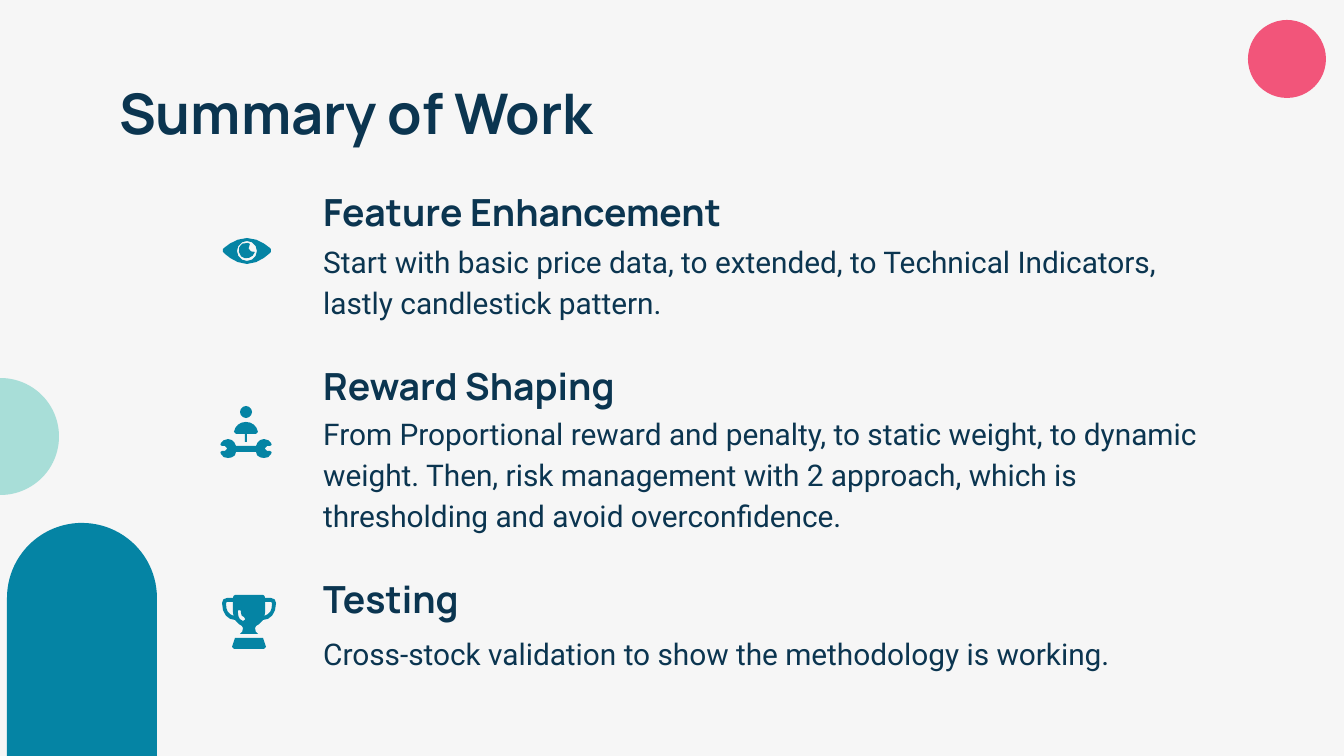
from dataclasses import dataclass
from math import cos, dist, pi, sin

from lxml import etree
from pptx import Presentation
from pptx import util as u
from pptx.dml.color import RGBColor
from pptx.enum import shapes, text
from pptx.oxml.ns import qn


@dataclass(frozen=True)
class Theme:
    paper: str = "F6F6F6"
    ink: str = "0B3550"
    teal: str = "0584A4"
    mint: str = "74CEC4"
    pink: str = "F2557A"
    heading_font: str = "Manrope"
    body_font: str = "Roboto"
    title_size: int = 30
    heading_size: int = 20
    body_size: int = 16
    body_spacing: float = 1.15


THEME = Theme()
EMU_PER_PX = 914400 / 134.4
PX_PER_STEP, MOST_STEPS = 6, 4

TITLE = ("Summary of Work", (106, 65, 1133, 85))
TEXT_LEFT, HEADING_WIDTH, HEADING_HEIGHT, BODY_HEIGHT = 310, 532, 77, 85
SECTIONS = [
    ("Feature Enhancement", 170, 225, 902,
     "Start with basic price data, to extended, to Technical Indicators, "
     "lastly candlestick pattern."),
    ("Reward Shaping", 344, 397, 929,
     "From Proportional reward and penalty, to static weight, to dynamic weight. "
     "Then, risk management with 2 approach, which is thresholding and avoid "
     "overconfidence."),
    ("Testing", 557, 617, 855,
     "Cross-stock validation to show the methodology is working."),
]
DECORATIONS = [
    (shapes.MSO_SHAPE.OVAL, (1248, 20, 78, 78), THEME.pink, 100),
    (shapes.MSO_SHAPE.OVAL, (-58, 378, 117, 117), THEME.mint, 60),
    (shapes.MSO_SHAPE.ROUNDED_RECTANGLE, (7, 523, 150, 641), THEME.teal, 100),
]

EYE_AXIS, WORKER_AXIS, TROPHY_AXIS = 247, 246, 249
EYE_HALF = [(247, 238), (234, 238, 223, 249, 223, 249), (223, 252),
            (223, 252, 234, 264, 247, 264)]
PUPIL = [(248, 243), (241, 242, 238, 247, 239, 252), (240, 258, 245, 259, 249, 258),
         (252, 257, 254, 255, 255, 252), (251, 253, 246, 249, 250, 244)]
WRENCH_HALF = [(236, 446), (235, 442, 232, 439, 228, 439), (225, 439, 222, 441, 221, 443),
               (220, 444, 220, 446, 222, 446), (225, 446), (228, 446, 228, 451, 225, 451),
               (222, 451), (220, 451, 220, 453, 221, 454), (222, 457, 225, 458, 228, 458),
               (232, 458, 236, 456, 236, 452)]
SHOULDER_HALF = [(246, 422), (240, 422, 235, 426, 234, 432),
                 (234, 433, 234, 434, 236, 434), (245, 434), (245, 442)]
CUP_HALF = [(249, 595), (235, 595), (234, 595, 233, 596, 233, 598), (227, 598),
            (224, 598, 222, 600, 222, 603), (222, 614, 228, 620, 235, 620),
            (239, 626, 243, 625, 243, 628), (243, 631, 242, 633, 240, 634), (249, 634)]
HANDLE = [(233, 602), (233, 612), (233, 613, 233, 615, 234, 616),
          (228, 614, 226, 611, 226, 603), (227, 602)]
GLINT = [(239, 610), (241, 610, 241, 611, 241, 613), (241, 615, 242, 617, 244, 617),
         (246, 618, 246, 621, 243, 621), (239, 620, 238, 616, 238, 613),
         (237, 611, 238, 610, 239, 610)]
BASE_HALF = [(249, 638), (235, 638), (232, 647), (232, 648, 232, 649, 234, 649), (249, 649)]


def px(value):
    return u.Emu(round(value * EMU_PER_PX))


def trace(steps):
    points = [steps[0]]
    for step in steps[1:]:
        if len(step) == 2:
            points.append(step)
            continue
        controls = [points[-1], step[:2], step[2:4], step[4:]]
        reach = dist(controls[0], controls[-1])
        count = max(1, min(MOST_STEPS, round(reach / PX_PER_STEP) + 1))
        for index in range(1, count + 1):
            t = index / count
            weights = ((1 - t) ** 3, 3 * t * (1 - t) ** 2, 3 * t * t * (1 - t), t ** 3)
            points.append(tuple(sum(w * c[axis] for w, c in zip(weights, controls))
                                for axis in (0, 1)))
    return points


def mirror(points, axis):
    return [(2 * axis - x, y) for x, y in reversed(points)]


def symmetric(steps, axis):
    half = trace(steps)
    return half + [point for point in mirror(half, axis) if point[0] != axis]


def circle(x, y, radius, count=12):
    angles = [2 * pi * index / count for index in range(count)]
    return [(x + radius * cos(a), y + radius * sin(a)) for a in angles]


ICONS = [
    [[symmetric(WRENCH_HALF, WORKER_AXIS)], [circle(WORKER_AXIS, 412, 6)],
     [symmetric(SHOULDER_HALF, WORKER_AXIS)]],
    [[symmetric(CUP_HALF, TROPHY_AXIS), trace(HANDLE),
      mirror(trace(HANDLE), TROPHY_AXIS), trace(GLINT)],
     [symmetric(BASE_HALF, TROPHY_AXIS)]],
    [[symmetric(EYE_HALF, EYE_AXIS), circle(EYE_AXIS, 251, 10)], [trace(PUPIL)]],
]


def paint(shape, color, opacity=100):
    shape.shadow.inherit = False
    shape.fill.solid()
    shape.fill.fore_color.rgb = RGBColor.from_string(color)
    shape.line.fill.background()
    if opacity < 100:
        tint = shape.fill._xPr.find(".//" + qn("a:srgbClr"))
        etree.SubElement(tint, qn("a:alpha"), val=str(opacity * 1000))


def add_icon(page, parts):
    group = page.shapes.add_group_shape()
    for contours in parts:
        outlines = [[(px(x), px(y)) for x, y in contour] for contour in contours]
        builder = group.shapes.build_freeform(*outlines[0][0])
        builder.add_line_segments(outlines[0][1:], close=True)
        for outline in outlines[1:]:
            builder.move_to(*outline[0])
            builder.add_line_segments(outline[1:], close=True)
        paint(builder.convert_to_shape(), THEME.teal)


def add_text(page, words, area, font, size, bold=False, spacing=1.0,
             anchor=text.MSO_ANCHOR.TOP):
    box = page.shapes.add_textbox(*map(px, area))
    frame = box.text_frame
    frame.word_wrap = True
    frame.vertical_anchor = anchor
    frame.margin_left = frame.margin_right = u.Inches(0.1)
    frame.margin_top = frame.margin_bottom = u.Inches(0.1)
    para = frame.paragraphs[0]
    para.line_spacing = spacing
    span = para.add_run()
    span.text = words
    span.font.name = font
    span.font.size = u.Pt(size)
    span.font.bold = bold
    span.font.color.rgb = RGBColor.from_string(THEME.ink)


def main():
    deck = Presentation()
    deck.slide_width, deck.slide_height = px(1344), px(756)
    page = deck.slides.add_slide(deck.slide_layouts[6])
    page.background.fill.solid()
    page.background.fill.fore_color.rgb = RGBColor.from_string(THEME.paper)

    for kind, area, color, opacity in DECORATIONS:
        shape = page.shapes.add_shape(kind, *map(px, area))
        if kind == shapes.MSO_SHAPE.ROUNDED_RECTANGLE:
            shape.adjustments[0] = 0.5
        paint(shape, color, opacity)

    add_text(page, *TITLE, THEME.heading_font, THEME.title_size, bold=True)
    for heading, heading_top, body_top, body_width, body in SECTIONS:
        add_text(page, body, (TEXT_LEFT, body_top, body_width, BODY_HEIGHT),
                 THEME.body_font, THEME.body_size, spacing=THEME.body_spacing)
        add_text(page, heading, (TEXT_LEFT, heading_top, HEADING_WIDTH, HEADING_HEIGHT),
                 THEME.heading_font, THEME.heading_size, bold=True,
                 spacing=THEME.body_spacing, anchor=text.MSO_ANCHOR.BOTTOM)
    for parts in ICONS:
        add_icon(page, parts)
    deck.save("out.pptx")


if __name__ == "__main__":
    main()
